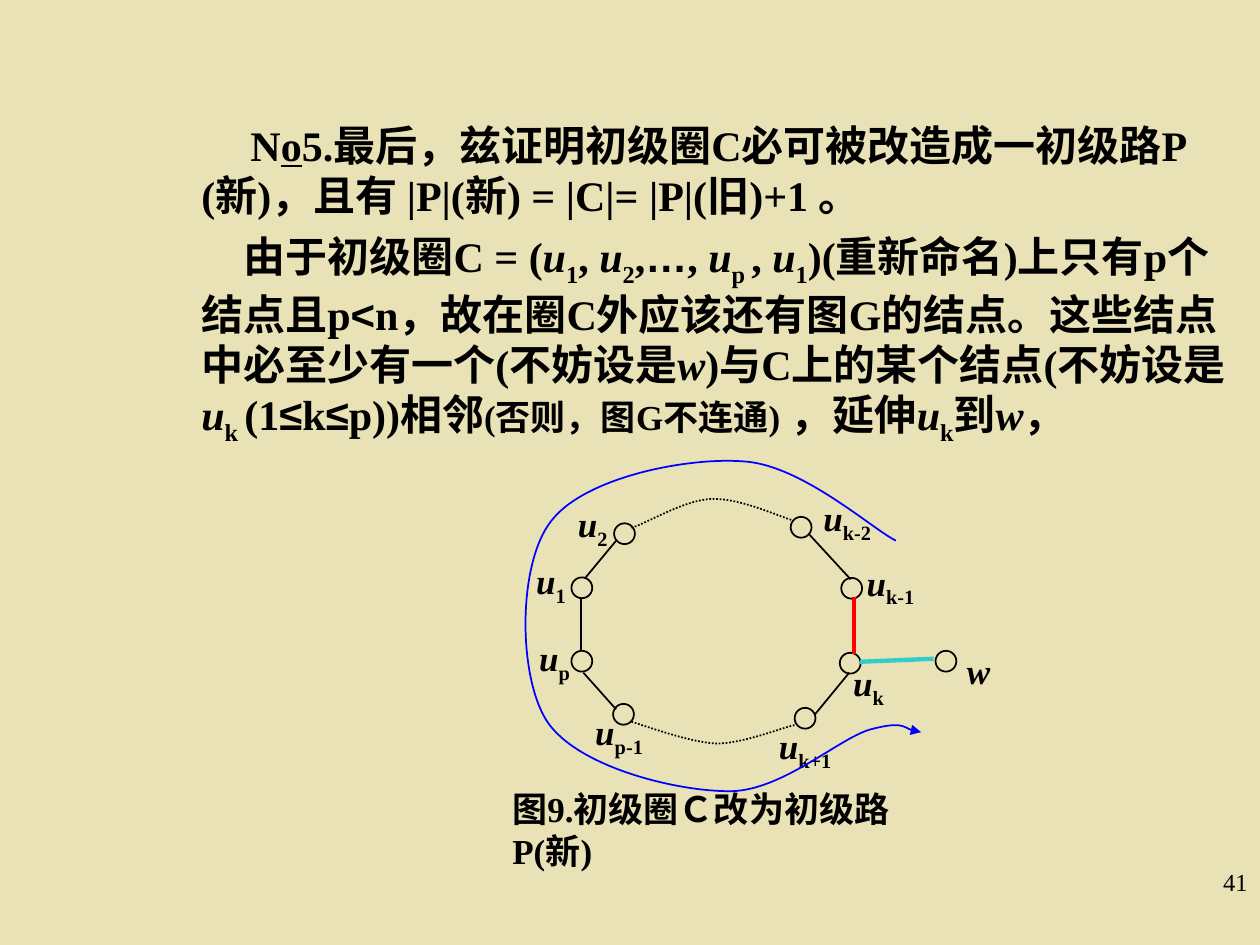
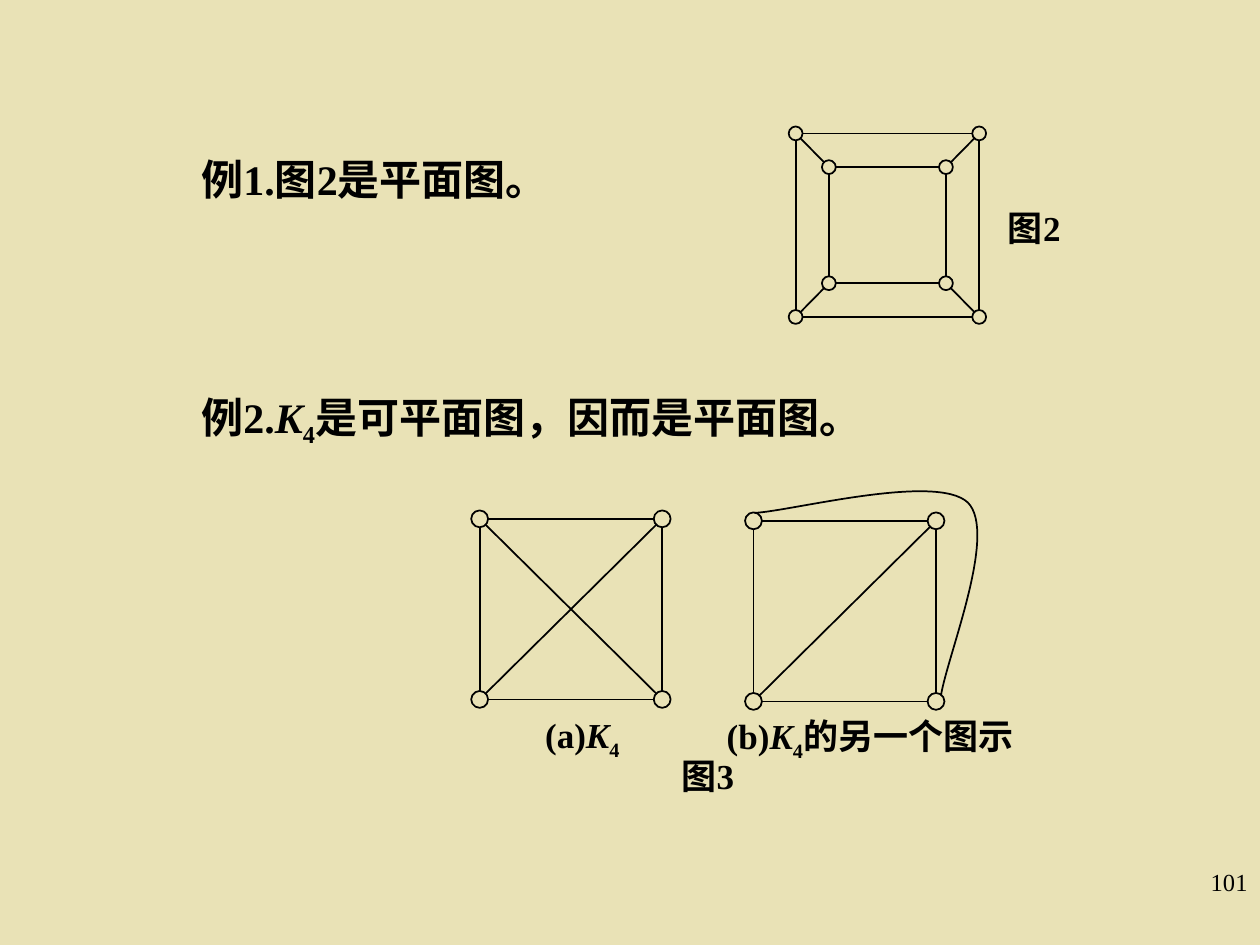
from dataclasses import dataclass
from math import hypot

import pptx
import pptx.dml.color
import pptx.enum.dml
import pptx.enum.shapes
import pptx.enum.text
import pptx.oxml
import pptx.oxml.ns
import pptx.slide
import pptx.util
from pptx.util import Cm

# Shared look
SAND = pptx.dml.color.RGBColor(0xE9, 0xE2, 0xB6)
BLACK = pptx.dml.color.RGBColor(0, 0, 0)
BLUE = pptx.dml.color.RGBColor(0, 0, 0xFF)
RED = pptx.dml.color.RGBColor(0xFF, 0, 0)
TEAL = pptx.dml.color.RGBColor(0x33, 0xCC, 0xCC)
DOTS = pptx.enum.dml.MSO_LINE.ROUND_DOT
LEFT = pptx.enum.text.PP_ALIGN.LEFT
RIGHT = pptx.enum.text.PP_ALIGN.RIGHT
PAD = (0.25, 0.13)
BASE = {"name": "Times New Roman", "bold": True}
# One letter for each way a run may differ from its box
STYLES = {
    "i": {"italic": True},
    "u": {"underline": True},
    "a": {"name": "Arial"},
    "n": {"size": pptx.util.Pt(20)},
    "p": {"bold": False},
}
SUB = "s"

Point = tuple[float, float]
Run = tuple[str, str]


@dataclass
class Para:
    runs: list[Run]
    indent: float = 0
    before: float = 0


@dataclass
class Box:
    left: float
    top: float
    width: float
    height: float
    paras: list[Para]
    size: float = 20
    pad: Point = (0, 0)
    align: int = LEFT


@dataclass
class Edge:
    start: Point
    end: Point
    color: pptx.dml.color.RGBColor = BLACK
    width: float = 1


@dataclass
class Curve:
    points: list[Point]
    color: pptx.dml.color.RGBColor = BLACK
    dash: int | None = None
    arrow: bool = False


# Drawing
def draw_box(slide: pptx.slide.Slide, box: Box) -> None:
    shape = slide.shapes.add_textbox(Cm(box.left), Cm(box.top), Cm(box.width), Cm(box.height))
    frame = shape.text_frame
    side, edge = map(Cm, box.pad)
    values = {"word_wrap": True, "margin_left": side, "margin_right": side,
              "margin_top": edge, "margin_bottom": edge}
    for key, value in values.items():
        setattr(frame, key, value)
    for index, para in enumerate(box.paras):
        line = frame.add_paragraph() if index else frame.paragraphs[0]
        line.alignment = box.align
        line.space_before = pptx.util.Pt(para.before)
        if para.indent:
            line._p.get_or_add_pPr().set("indent", str(Cm(para.indent)))
        for text, marks in para.runs:
            run = line.add_run()
            run.text = text
            looks = BASE | {"size": pptx.util.Pt(box.size)}
            for mark in marks.replace(SUB, ""):
                looks |= STYLES[mark]
            for key, value in looks.items():
                setattr(run.font, key, value)
            run.font.color.rgb = BLACK
            if SUB in marks:
                run._r.get_or_add_rPr().set("baseline", "-25000")


def draw_node(slide: pptx.slide.Slide, mid: Point, size: float) -> None:
    oval = pptx.enum.shapes.MSO_SHAPE.OVAL
    shape = slide.shapes.add_shape(oval, Cm(mid[0] - size / 2), Cm(mid[1] - size / 2),
                                   Cm(size), Cm(size))
    shape.fill.background()
    shape.line.color.rgb = BLACK
    shape.line.width = pptx.util.Pt(1)
    shape.shadow.inherit = False


def draw_edge(slide: pptx.slide.Slide, edge: Edge) -> None:
    kind = pptx.enum.shapes.MSO_CONNECTOR.STRAIGHT
    line = slide.shapes.add_connector(kind, *map(Cm, edge.start + edge.end))
    line.line.color.rgb = edge.color
    line.line.width = pptx.util.Pt(edge.width)
    line._element.spPr.append(pptx.oxml.parse_xml(
        f"<a:effectLst {pptx.oxml.ns.nsdecls('a')}/>"))


def draw_curve(slide: pptx.slide.Slide, curve: Curve) -> None:
    trail = [(Cm(x), Cm(y)) for x, y in curve.points]
    pen = slide.shapes.build_freeform(*trail[0])
    pen.add_line_segments(trail[1:], close=False)
    shape = pen.convert_to_shape()
    # Each three straight steps become one cubic curve
    steps = list(shape._element.iter(pptx.oxml.ns.qn("a:lnTo")))
    for first in range(0, len(steps), 3):
        cubic = pptx.oxml.parse_xml(f"<a:cubicBezTo {pptx.oxml.ns.nsdecls('a')}/>")
        steps[first].addprevious(cubic)
        for step in steps[first:first + 3]:
            cubic.append(step[0])
            step.getparent().remove(step)
    shape.fill.background()
    shape.line.color.rgb = curve.color
    shape.line.width = pptx.util.Pt(1)
    if curve.dash:
        shape.line.dash_style = curve.dash
    if curve.arrow:
        shape.line._get_or_add_ln().append(pptx.oxml.parse_xml(
            f"<a:tailEnd {pptx.oxml.ns.nsdecls('a')} type='triangle'/>"))
    shape.shadow.inherit = False


def corners(x: float, y: float, half: float, rise: float) -> list[Point]:
    """Corners of a frame, clockwise from top left."""
    return [(x - half, y - rise), (x + half, y - rise),
            (x + half, y + rise), (x - half, y + rise)]


def draw_graph(slide: pptx.slide.Slide, nodes: list[Point],
               pairs: list[tuple[int, int]], size: float) -> None:
    """Nodes, with edges that stop at their rims."""
    for mid in nodes:
        draw_node(slide, mid, size)
    for one, two in pairs:
        (ax, ay), (bx, by) = nodes[one], nodes[two]
        trim = size / 2 / hypot(bx - ax, by - ay)
        dx, dy = (bx - ax) * trim, (by - ay) * trim
        draw_edge(slide, Edge((ax + dx, ay + dy), (bx - dx, by - dy)))


def add_page(deck, number: str, body: Box) -> pptx.slide.Slide:
    slide = deck.slides.add_slide(deck.slide_layouts[6])
    slide.background.fill.solid()
    slide.background.fill.fore_color.rgb = SAND
    draw_box(slide, Box(20.12, 17.35, 5.28, 1.27, [Para([(number, "p")])], 14, PAD, RIGHT))
    draw_box(slide, body)
    return slide


# Slide 41: turning the cycle into a path
PROOF = [
    Para([("N", ""), ("o", "u"),
          ("5.最后，兹证明初级圈C必可被改造成一初级路P (新)，且有 |P|(新) = |C|= |P|(旧)+1 。", "")],
         indent=0.99),
    Para([("由于初级圈C = (", ""), ("u", "i"), ("1", "s"), (", ", ""), ("u", "i"), ("2", "s"),
          (",", ""), ("…", "a"), (", ", ""), ("u", "i"), ("p ", "s"), (", ", ""),
          ("u", "i"), ("1", "s"), (")(重新命名)上只有p个结点且p", ""), ("<", "a"),
          ("n，故在圈C外应该还有图G的结点。这些结点中必至少有一个(不妨设是", ""), ("w", "i"),
          (")与C上的某个结点(不妨设是", ""), ("u", "i"), ("k ", "s"), ("(1", ""), ("≤", "a"),
          ("k", ""), ("≤", "a"), ("p))相邻", ""), ("(否则，图G不连通)", "n"), (" ，延伸", ""),
          ("u", "i"), ("k", "s"), ("到", ""), ("w", "i"), ("，", "")],
         indent=0.85, before=6),
]
RING = [(16.23, 14.48), (17.17, 11.86), (19.07, 13.33), (17.14, 13.37), (12.59, 10.76),
        (11.73, 13.33), (11.73, 11.85), (16.15, 10.63), (12.57, 14.4)]
EDGES = [
    Edge((18.82, 13.28), (17.34, 13.34), TEAL, 2.5),
    Edge((11.76, 13.56), (12.42, 14.3)),
    Edge((11.71, 12.07), (11.71, 13.13)),
    Edge((12.42, 10.9), (11.79, 11.66)),
    Edge((16.31, 10.77), (17.15, 11.68)),
    Edge((17.22, 12.03), (17.22, 13.19), RED, 2),
    Edge((17.12, 13.56), (16.43, 14.4)),
]
CURVES = [
    Curve([(12.73, 14.55), (13, 14.63), (13.89, 14.96), (14.43, 14.99),
           (14.99, 14.99), (15.72, 14.68), (16.05, 14.61)], dash=DOTS),
    Curve([(12.73, 10.64), (13, 10.57), (13.79, 10.08), (14.33, 10.06),
           (14.88, 10.03), (15.65, 10.39), (15.98, 10.49)], dash=DOTS),
    Curve([(18.06, 10.9), (17.55, 10.64), (16.13, 9.35), (14.96, 9.3),
           (13.82, 9.22), (11.76, 9.63), (11.1, 10.52),
           (10.44, 11.38), (10.44, 13.61), (11.02, 14.53),
           (11.61, 15.44), (13.54, 15.93), (14.63, 15.95),
           (15.7, 16), (16.87, 14.91), (17.53, 14.71),
           (18.19, 14.53), (18.34, 14.76), (18.57, 14.76)], BLUE, arrow=True),
]
LABELS = [
    ("u", "k", 17.2, 13.34), ("u", "p", 10.87, 12.83), ("u", "p-1", 12, 14.33),
    ("u", "2", 11.65, 10.13), ("u", "1", 10.81, 11.28), ("u", "k+1", 15.7, 14.61),
    ("w", "", 19.49, 13.1), ("u", "k-1", 17.47, 11.31), ("u", "k-2", 16.6, 10.01),
]


def add_proof(deck) -> None:
    slide = add_page(deck, "41", Box(3.81, 2.13, 21.16, 16.08, PROOF, 24, (0.25, 0.28)))
    for mid in RING:
        draw_node(slide, mid, 0.42)
    for edge in EDGES:
        draw_edge(slide, edge)
    for name, low, left, top in LABELS:
        runs = [(name, "i")] + ([(low, "s")] if low else [])
        draw_box(slide, Box(left, top, 1.27 if len(low) > 1 else 0.84, 0.97, [Para(runs)]))
    draw_box(slide, Box(10.33, 15.88, 8.15, 1.7, [Para([("图9.初级圈Ｃ改为初级路P(新)", "")])]))
    for curve in CURVES:
        draw_curve(slide, curve)


# Slide 101: planar graphs
PLANAR = [
    Para([("例1.图2是平面图。", "")]),
    Para([("例2.", ""), ("K", "i"), ("4", "s"), ("是可平面图，因而是平面图。", "")], before=107),
]
SIDES = [(0, 1), (1, 2), (2, 3), (3, 0)]
FALL, RISE = (0, 2), (1, 3)
ARC = Curve([(15.21, 10.34), (15.93, 10.31), (18.87, 9.53), (19.51, 10.13),
             (20.12, 10.74), (19.1, 13.21), (18.97, 14.02)])
NOTES = [
    Box(20.32, 4.17, 2.44, 0.84, [Para([("图2", "")])]),
    Box(14.4, 14.27, 6.7, 1.22,
        [Para([("(b)", ""), ("K", "i"), ("4", "s"), ("的另一个图示", "")])], pad=PAD),
    Box(13.49, 15.09, 1.9, 1.12, [Para([("图3", "")])], pad=PAD),
    Box(10.74, 14.25, 2.2, 1.22, [Para([("(a)", ""), ("K", "i"), ("4", "s")])], pad=PAD),
]


def add_planar(deck) -> None:
    slide = add_page(deck, "101", Box(3.81, 2.97, 21.16, 15.04, PLANAR, 24, PAD))
    cube = corners(17.89, 4.54, 1.85, 1.85) + corners(17.89, 4.54, 1.18, 1.17)
    inner = [(a + 4, b + 4) for a, b in SIDES]
    spokes = [(k, k + 4) for k in range(4)]
    draw_graph(slide, cube, SIDES + inner + spokes, 0.28)
    draw_graph(slide, corners(11.51, 12.28, 1.84, 1.82), SIDES + [FALL, RISE], 0.34)
    draw_graph(slide, corners(17.03, 12.32, 1.84, 1.82), SIDES + [RISE], 0.34)
    draw_curve(slide, ARC)
    for note in NOTES:
        draw_box(slide, note)


def main() -> None:
    deck = pptx.Presentation()
    deck.slide_width, deck.slide_height = Cm(25.4), Cm(19.05)
    add_proof(deck)
    add_planar(deck)
    deck.save("out.pptx")


if __name__ == "__main__":
    main()
